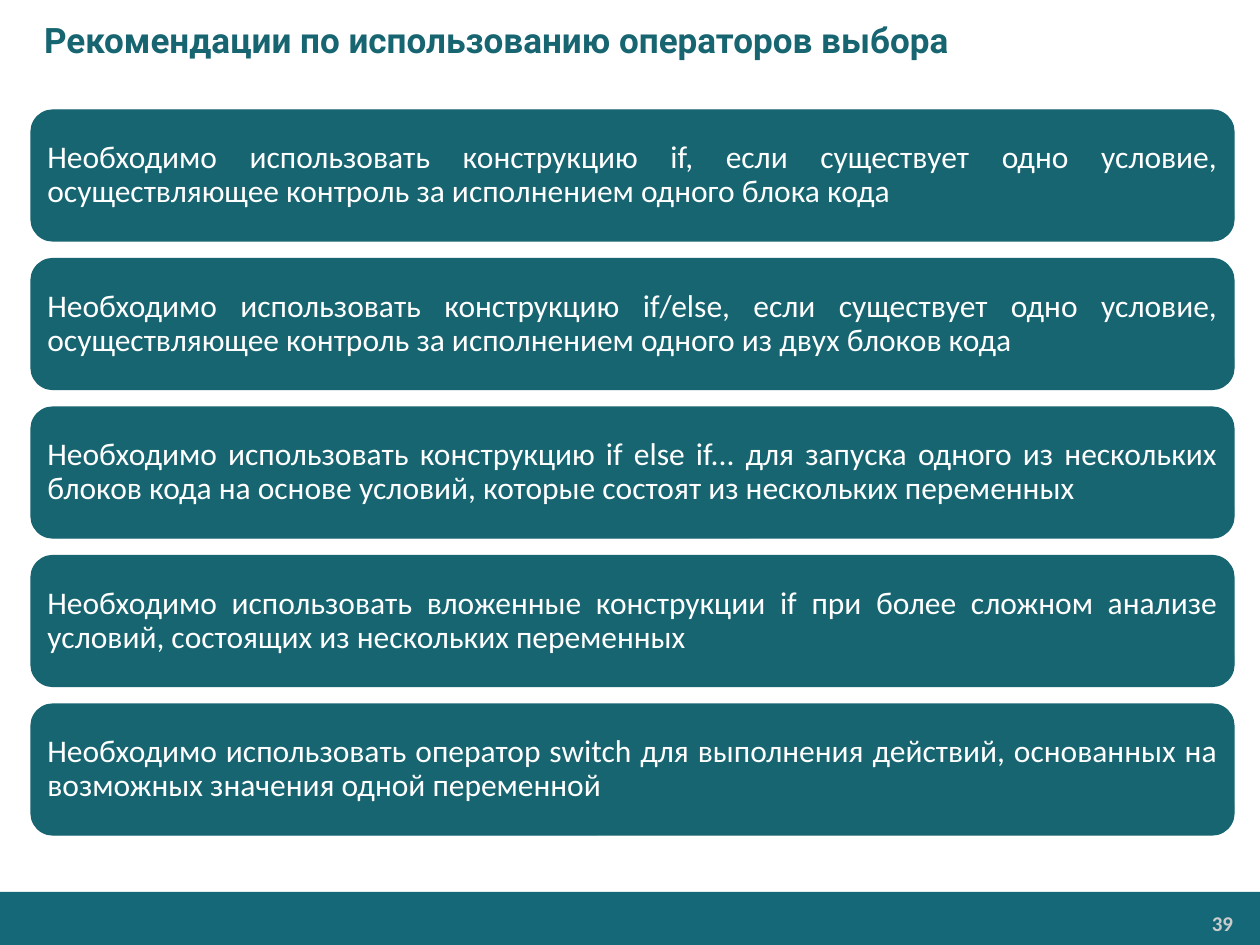
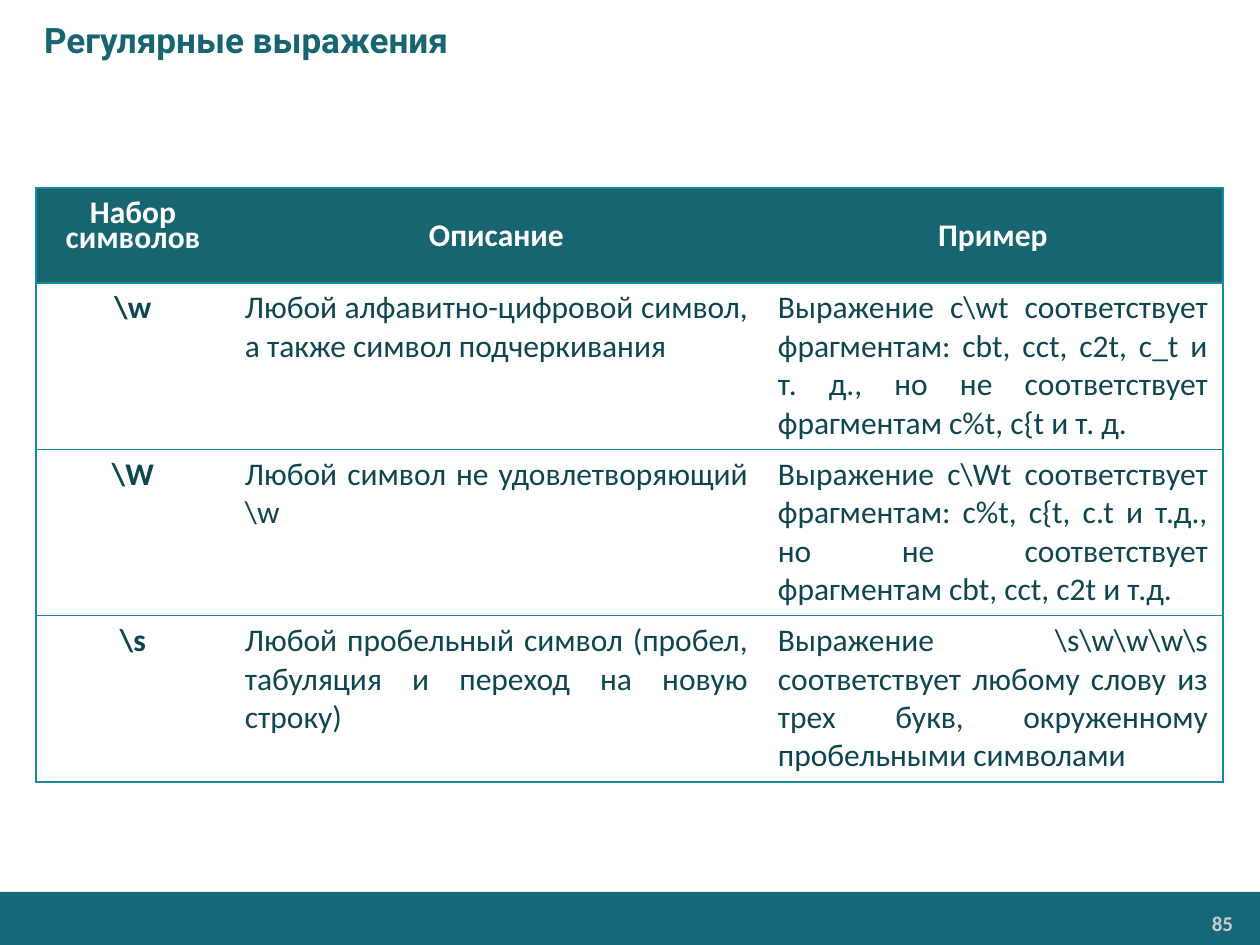
from lxml.etree import SubElement
from pptx import Presentation
from pptx.dml.color import RGBColor
from pptx.enum.shapes import MSO_SHAPE as Shape
from pptx.enum.text import MSO_ANCHOR as Anchor, MSO_AUTO_SIZE as AutoSize, PP_ALIGN as Align
from pptx.oxml.ns import qn
from pptx.util import Pt

EMU_PER_PX = 914400 / 126
SLIDE_W, SLIDE_H = 1260, 945
TITLE_ONLY = 5
NO_STYLE = "{2D5ABB26-0587-4C30-8999-92F81FD0307C}"

TEAL = RGBColor(0x17, 0x65, 0x71)
BAND = RGBColor(0x14, 0x68, 0x78)
RULE = RGBColor(0x17, 0x8A, 0xA0)
INK = RGBColor(0x0D, 0x46, 0x50)
GREY = RGBColor(0xCC, 0xCC, 0xCC)
WHITE = RGBColor(0xFF, 0xFF, 0xFF)

RECOMMENDATIONS = [
    "Необходимо использовать конструкцию if, если существует одно условие, "
    "осуществляющее контроль за исполнением одного блока кода",
    "Необходимо использовать конструкцию if/else, если существует одно условие, "
    "осуществляющее контроль за исполнением одного из двух блоков кода",
    "Необходимо использовать конструкцию if else if... для запуска одного из "
    "нескольких блоков кода на основе условий, которые состоят из нескольких переменных",
    "Необходимо использовать вложенные конструкции if при более сложном анализе "
    "условий, состоящих из нескольких переменных",
    "Необходимо использовать оператор switch для выполнения действий, основанных на "
    "возможных значения одной переменной",
]

HEADINGS = ["Набор\nсимволов", "Описание", "Пример"]
CHARACTER_CLASSES = [
    [r"\w", "Любой алфавитно-цифровой символ, а также символ подчеркивания",
     r"Выражение c\wt соответствует фрагментам: cbt, cct, c2t, c_t и т. д., "
     "но не соответствует фрагментам c%t, c{t и т. д."],
    [r"\W", r"Любой символ не удовлетворяющий \w",
     r"Выражение c\Wt соответствует фрагментам: c%t, c{t, c.t и т.д., "
     "но не соответствует фрагментам cbt, cct, c2t и т.д."],
    [r"\s", "Любой пробельный символ (пробел, табуляция и переход на новую строку)",
     r"Выражение \s\w\w\w\s соответствует любому слову из трех букв, "
     "окруженному пробельными символами"],
]


def px(length):
    """Turn pixels into EMU."""
    return round(length * EMU_PER_PX)


def place(box):
    """Turn a left, top, width, height box into EMU."""
    return [px(length) for length in box]


def set_margins(holder, across, down):
    """Give a text frame or cell equal side and equal top and bottom margins."""
    holder.margin_left = holder.margin_right = px(across)
    holder.margin_top = holder.margin_bottom = px(down)


def format_text(frame, size, color, align, bold=False, font="Calibri"):
    """Align every paragraph and style every run of a text frame."""
    for paragraph in frame.paragraphs:
        paragraph.alignment = align
        for run in paragraph.runs:
            run.font.name, run.font.size, run.font.bold = font, Pt(size), bold
            run.font.color.rgb = color


def add_block(slide, kind, box, color):
    """Add a flat shape of one colour."""
    block = slide.shapes.add_shape(kind, *place(box))
    block.shadow.inherit = False
    block.fill.solid()
    block.fill.fore_color.rgb = color
    block.line.color.rgb = color
    block.line.width = Pt(0.75)
    return block


def add_footer(slide, box, number):
    """Draw the bottom band and the slide number in it."""
    left, top, width, height = box
    add_block(slide, Shape.RECTANGLE, box, BAND).line.fill.background()
    number_box = slide.shapes.add_textbox(*place((left + width - 223, top + 14, 205, 35)))
    frame = number_box.text_frame
    frame.word_wrap = True
    set_margins(frame, 9, 5)
    frame.text = number
    format_text(frame, 12, GREY, Align.RIGHT, bold=True)


def add_title(slide, box, text):
    """Fill and place the title placeholder."""
    title = slide.shapes.title
    title.left, title.top, title.width, title.height = place(box)
    frame = title.text_frame
    frame.text = text
    frame.auto_size = AutoSize.NONE
    frame.vertical_anchor = Anchor.MIDDLE
    frame.margin_left = px(44)
    format_text(frame, 20, TEAL, Align.LEFT, bold=True, font="Roboto")


def add_page(deck, title, number):
    """Add a slide with its title and footer."""
    slide = deck.slides.add_slide(deck.slide_layouts[TITLE_ONLY])
    add_footer(slide, (0, 892, SLIDE_W, SLIDE_H - 892), number)
    add_title(slide, (0, 0, SLIDE_W, 79), title)
    return slide


def add_cards(slide, box, texts, card_height=131):
    """Spread rounded cards evenly down the box."""
    left, top, width, height = box
    pitch = (height - card_height) / (len(texts) - 1)
    for index, text in enumerate(texts):
        card_box = (left, top + index * pitch, width, card_height)
        card = add_block(slide, Shape.ROUNDED_RECTANGLE, card_box, TEAL)
        frame = card.text_frame
        frame.word_wrap = True
        frame.vertical_anchor = Anchor.MIDDLE
        set_margins(frame, 10, 10)
        frame.text = text
        frame.paragraphs[0].line_spacing = 0.9
        format_text(frame, 18, WHITE, Align.JUSTIFY)


def add_borders(cell, sides):
    """Rule the named sides of a cell."""
    properties = cell._tc.get_or_add_tcPr()
    for position, side in enumerate(sides):
        line = SubElement(properties, qn(f"a:ln{side}"), w=str(Pt(0.75)))
        fill = SubElement(line, qn("a:solidFill"))
        SubElement(fill, qn("a:srgbClr"), val=str(RULE))
        properties.insert(position, line)


def fill_heading(cell, text):
    """Write a heading cell, set tight when it has two lines."""
    cell.fill.solid()
    cell.fill.fore_color.rgb = TEAL
    cell.vertical_anchor = Anchor.MIDDLE
    cell.text = text
    format_text(cell.text_frame, 18, WHITE, Align.CENTER, bold=True)
    lines = cell.text_frame.paragraphs
    if len(lines) > 1:
        set_margins(cell, 11, 0)
        for line in lines:
            line.line_spacing = Pt(10)
            line.space_after = Pt(2)
        for line in lines[1:]:
            line.space_before = Pt(2)


def fill_entry(cell, text, is_key):
    """Write a body cell, bold and centred in the key column."""
    cell.fill.background()
    cell.text = text
    align = Align.CENTER if is_key else Align.JUSTIFY
    format_text(cell.text_frame, 18, INK, align, bold=is_key)


def add_class_table(slide, box, column_widths, heading_height):
    """Draw the table of character classes inside the box."""
    rows = [HEADINGS, *CHARACTER_CLASSES]
    last = len(HEADINGS) - 1
    frame = slide.shapes.add_table(len(rows), len(HEADINGS), *place(box))
    table = frame.table
    table.horz_banding = False
    table._tbl.tblPr.find(qn("a:tableStyleId")).text = NO_STYLE
    for column, width in zip(table.columns, column_widths):
        column.width = px(width)
    entry_height = (box[3] - heading_height) / len(CHARACTER_CLASSES)
    for r, texts in enumerate(rows):
        table.rows[r].height = px(entry_height if r else heading_height)
        for c, text in enumerate(texts):
            cell = table.cell(r, c)
            set_margins(cell, 15, 6)
            if r:
                fill_entry(cell, text, is_key=c == 0)
            else:
                fill_heading(cell, text)
            add_borders(cell, ("L" if c == 0 else "") + ("R" if c == last else "") + "TB")


def main():
    """Build both slides and save them."""
    deck = Presentation()
    deck.slide_width, deck.slide_height = px(SLIDE_W), px(SLIDE_H)

    choice = add_page(deck, "Рекомендации по использованию операторов выбора", "39")
    add_cards(choice, (31, 110, 1203, 725), RECOMMENDATIONS)

    regex = add_page(deck, "Регулярные выражения", "85")
    add_class_table(regex, (36, 188, 1187, 594), (194, 533, 460), 95)

    deck.save("out.pptx")


if __name__ == "__main__":
    main()
